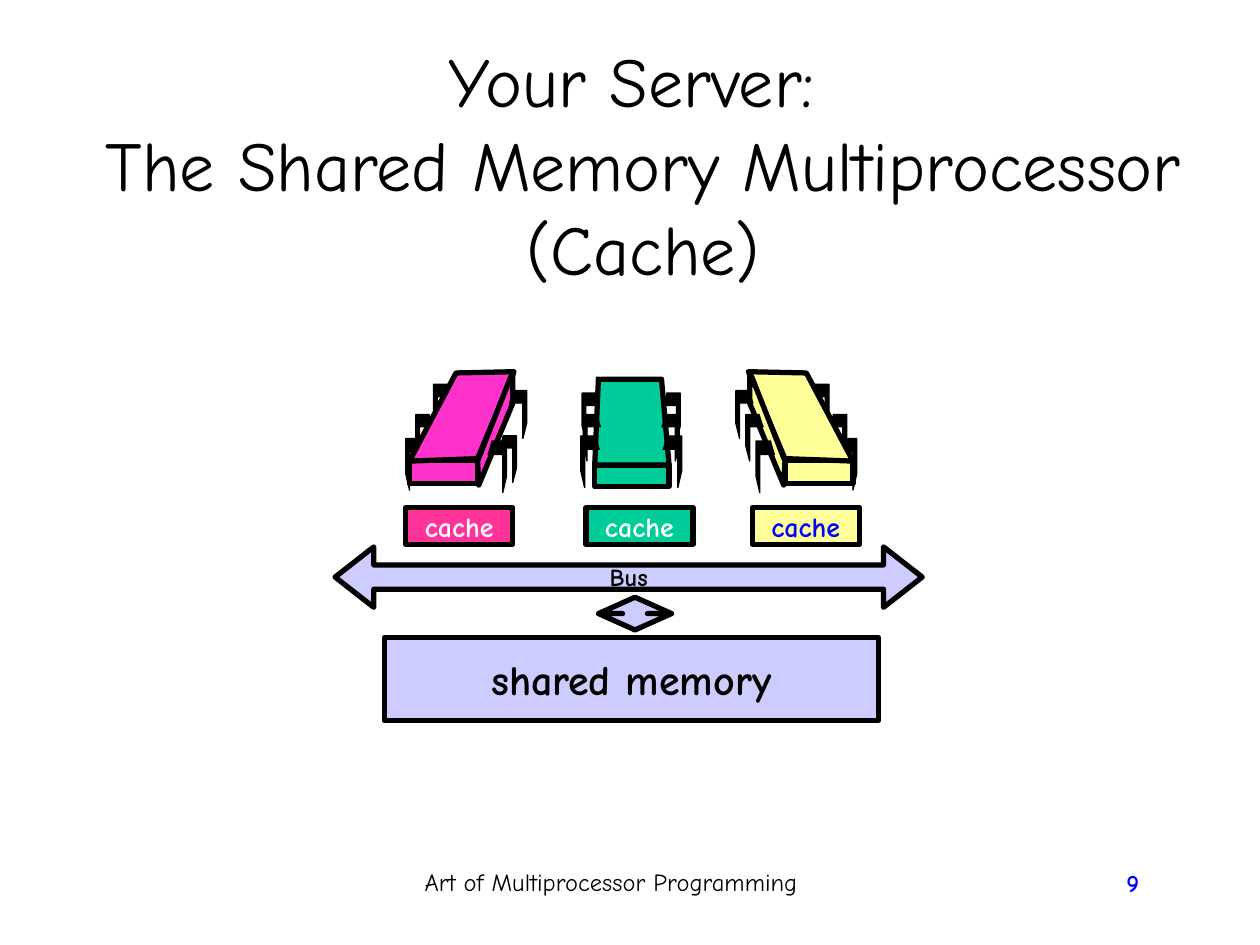
from pptx import Presentation
from pptx.dml.color import RGBColor
from pptx.enum.shapes import MSO_SHAPE
from pptx.enum.text import MSO_ANCHOR, PP_ALIGN
from pptx.util import Inches, Pt

RECTANGLE = MSO_SHAPE.RECTANGLE
BUS_ARROW = MSO_SHAPE.LEFT_RIGHT_ARROW
MEMORY_ARROW = MSO_SHAPE.UP_DOWN_ARROW
CENTER, RIGHT = PP_ALIGN.CENTER, PP_ALIGN.RIGHT
TOP, MIDDLE = MSO_ANCHOR.TOP, MSO_ANCHOR.MIDDLE

FONT = "Comic Neue"
COLORS = {
    "black": "000000",
    "white": "FFFFFF",
    "blue": "0000FF",
    "lavender": "CCCCFF",
    "pink": "FF33CC",
    "rose": "FF3399",
    "green": "00CC99",
    "yellow": "FFFF99",
}
MIRROR_SUM = 10.02  # x of a pink chip point plus x of its yellow twin

# Leg sizes (width, height), nearest leg first
NEAR_LEG, MID_LEG, FAR_LEG = (0.15, 0.41), (0.14, 0.37), (0.14, 0.38)


def rgb(name):
    return RGBColor.from_string(COLORS[name])


def paint(shape, fill, line_width=3):
    shape.shadow.inherit = False
    shape.fill.solid()
    shape.fill.fore_color.rgb = rgb(fill)
    shape.line.color.rgb = rgb("black")
    shape.line.width = Pt(line_width)


def write(box, text, size, color="black", bold=False, align=CENTER,
          anchor=MIDDLE, wrap=False):
    frame = box.text_frame
    frame.word_wrap = wrap
    frame.vertical_anchor = anchor
    para = frame.paragraphs[0]
    para.text = text
    para.alignment = align
    para.font.name = FONT
    para.font.size = Pt(size)
    para.font.bold = bold
    para.font.color.rgb = rgb(color)


def add_text(page, place, text, size, **style):
    box = page.shapes.add_textbox(*map(Inches, place))
    write(box, text, size, wrap=True, **style)


def add_block(page, kind, place, fill, adjustments=()):
    block = page.shapes.add_shape(kind, *map(Inches, place))
    for index, value in enumerate(adjustments):
        block.adjustments[index] = value
    paint(block, fill)
    return block


def add_outline(page, points, fill, line_width=3, close=True):
    corners = [(Inches(x), Inches(y)) for x, y in points]
    builder = page.shapes.build_freeform(*corners[0])
    builder.add_line_segments(corners[1:], close=close)
    paint(builder.convert_to_shape(), fill, line_width)


def add_leg(page, outer, top, size, side):
    """Draw a bent pin; side is 1 when it points right, -1 when left."""
    width, height = size
    outline = [(width - 0.03, 0), (0, 0), (0, 0.68), (0.03, 1),
               (0.03, 0.26), (width, 0.26)]
    points = [(outer - side * x, top + height * y) for x, y in outline]
    add_outline(page, points, "black", 0.75, close=False)


def add_straight_chip(page, fill):
    add_block(page, RECTANGLE, (4.72, 3.69, 0.59, 0.17), fill)
    top_face = [(4.77, 3.01), (5.25, 3.01), (5.31, 3.69), (4.72, 3.69),
                (4.75, 2.99)]
    add_outline(page, top_face, fill, close=False)
    legs = [(5.41, 4.61, 3.46, NEAR_LEG), (5.39, 4.63, 3.29, MID_LEG),
            (5.4, 4.62, 3.12, FAR_LEG)]
    for right, left, top, size in legs:
        add_leg(page, right, top, size, 1)
        add_leg(page, left, top, size, -1)


def add_tilted_chip(page, fill, mirrored, inner_mid_top):
    def place(x):
        return MIRROR_SUM - x if mirrored else x

    def add_legs(legs, side):
        for outer, top, size in legs:
            add_leg(page, place(outer), top, size, -side if mirrored else side)

    def add_face(points):
        add_outline(page, [(place(x), y) for x, y in points], fill)

    front_left = min(place(3.25), place(3.79))
    add_block(page, RECTANGLE, (front_left, 3.65, 0.54, 0.19), fill)
    add_legs([(3.22, 3.48, NEAR_LEG), (3.3, 3.29, MID_LEG),
              (3.44, 3.05, FAR_LEG)], -1)
    add_face([(3.25, 3.66), (3.79, 3.64), (4.08, 2.95), (3.62, 2.96)])
    add_face([(4.07, 2.95), (4.07, 3.2), (3.8, 3.85), (3.79, 3.66)])
    add_legs([(4.02, 3.5, NEAR_LEG), (4.1, inner_mid_top, MID_LEG),
              (4.18, 3.1, FAR_LEG)], 1)


def main():
    deck = Presentation()
    deck.slide_width, deck.slide_height = Inches(10), Inches(7.5)
    page = deck.slides.add_slide(deck.slide_layouts[6])

    # Footer and title
    add_text(page, (2.89, 6.83, 3.92, 0.5),
             "Art of Multiprocessor Programming", 14, anchor=TOP)
    add_text(page, (7.06, 6.84, 2.08, 0.5), "9", 14, color="blue",
             bold=True, align=RIGHT, anchor=TOP)
    add_text(page, (0.27, 0.67, 9.67, 1.25),
             "Your Server: \vThe Shared Memory Multiprocessor\v(Cache)", 40)

    # Processors
    add_straight_chip(page, "green")
    add_tilted_chip(page, "pink", mirrored=False, inner_mid_top=3.46)
    add_tilted_chip(page, "yellow", mirrored=True, inner_mid_top=3.29)

    # Bus and shared memory
    bus = add_block(page, BUS_ARROW, (2.66, 4.34, 4.66, 0.48), "lavender",
                    (0.4, 0.64))
    write(bus, "Bus", 14, bold=True)
    memory = add_block(page, RECTANGLE, (3.05, 5.06, 3.92, 0.66), "lavender")
    write(memory, "shared memory", 24, bold=True)
    add_block(page, MEMORY_ARROW, (4.75, 4.74, 0.58, 0.26), "lavender",
              (0.5, 0.34))

    # One cache per processor
    caches = [(3.22, "rose", "white"), (5.97, "yellow", "blue"),
              (4.65, "green", "white")]
    for left, fill, color in caches:
        cache = add_block(page, RECTANGLE, (left, 4.03, 0.85, 0.29), fill)
        write(cache, "cache", 16, color=color, bold=True)

    deck.save("out.pptx")


if __name__ == "__main__":
    main()
